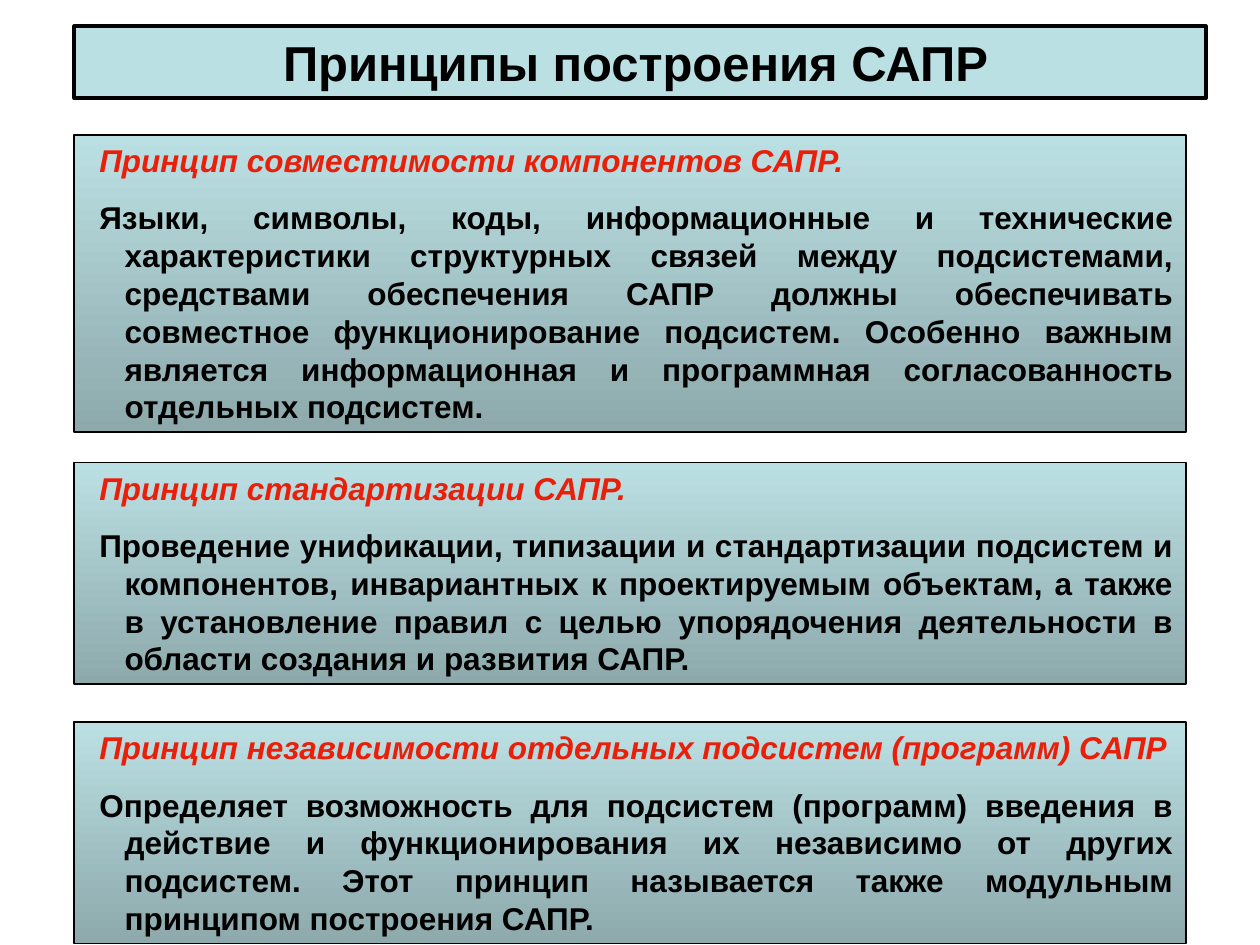
from dataclasses import dataclass

from pptx import Presentation
from pptx.dml.color import RGBColor
from pptx.enum.shapes import MSO_SHAPE
from pptx.enum.text import MSO_ANCHOR, PP_ALIGN
from pptx.shapes.autoshape import Shape
from pptx.slide import Slide
from pptx.text.text import _Paragraph
from pptx.util import Inches, Pt


@dataclass(frozen=True)
class Theme:
    font: str = "Arial"
    pale: RGBColor = RGBColor(0xBB, 0xE0, 0xE3)
    deep: RGBColor = RGBColor(0x8D, 0xA9, 0xAC)
    ink: RGBColor = RGBColor(0, 0, 0)
    accent: RGBColor = RGBColor(0xEA, 0x1F, 0x0A)
    title_size: float = 28
    body_size: float = 18


@dataclass(frozen=True)
class Principle:
    top: float
    height: float
    heading: str
    text: str


THEME = Theme()
SLIDE_WIDTH, SLIDE_HEIGHT = 10, 7.5
LEFT = 0.59
PANEL_WIDTH = SLIDE_WIDTH - 2 * LEFT
TITLE_WIDTH = 8.98

PRINCIPLES = (
    Principle(
        1.07, 2.36,
        "Принцип совместимости компонентов САПР.",
        "Языки, символы, коды, информационные и технические характеристики "
        "структурных связей между подсистемами, средствами обеспечения САПР "
        "должны обеспечивать совместное функционирование подсистем. Особенно "
        "важным является информационная и программная согласованность "
        "отдельных подсистем.",
    ),
    Principle(
        3.67, 1.76,
        "Принцип стандартизации САПР.",
        "Проведение унификации, типизации и стандартизации подсистем и "
        "компонентов, инвариантных к проектируемым объектам, а также в "
        "установление правил с целью упорядочения деятельности в области "
        "создания и развития САПР.",
    ),
    Principle(
        5.73, 1.76,
        "Принцип независимости отдельных подсистем (программ) САПР",
        "Определяет возможность для подсистем (программ) введения в действие "
        "и функционирования их независимо от других подсистем. Этот принцип "
        "называется также модульным принципом построения САПР.",
    ),
)


def add_box(slide: Slide, top: float, width: float, height: float, border: float) -> Shape:
    box = slide.shapes.add_shape(
        MSO_SHAPE.RECTANGLE, Inches(LEFT), Inches(top), Inches(width), Inches(height)
    )
    box.shadow.inherit = False
    box.line.color.rgb = THEME.ink
    box.line.width = Pt(border)
    box.text_frame.word_wrap = True
    box.text_frame.vertical_anchor = MSO_ANCHOR.TOP
    return box


def write(para: _Paragraph, text: str, size: float, color: RGBColor,
          align: PP_ALIGN, italic: bool = False) -> None:
    para.text = text
    para.alignment = align
    para.font.name = THEME.font
    para.font.size = Pt(size)
    para.font.bold = True
    para.font.italic = italic
    para.font.color.rgb = color


def hang(para: _Paragraph) -> None:
    """Give the paragraph a hanging indent."""
    properties = para._p.get_or_add_pPr()
    properties.set("marL", str(Inches(0.3)))
    properties.set("indent", str(Inches(-0.2)))


def add_title(slide: Slide, text: str) -> None:
    box = add_box(slide, 0.21, TITLE_WIDTH, 0.57, 2.25)
    box.fill.solid()
    box.fill.fore_color.rgb = THEME.pale
    box.text_frame.margin_right = Inches(0.17)
    write(box.text_frame.paragraphs[0], text, THEME.title_size, THEME.ink, PP_ALIGN.CENTER)


def add_principle(slide: Slide, principle: Principle) -> None:
    box = add_box(slide, principle.top, PANEL_WIDTH, principle.height, 1)
    box.fill.gradient()
    box.fill.gradient_angle = 270
    for stop, color, position in zip(box.fill.gradient_stops, (THEME.pale, THEME.deep), (0, 1)):
        stop.color.rgb = color
        stop.position = position

    heading = box.text_frame.paragraphs[0]
    hang(heading)
    write(heading, principle.heading, THEME.body_size, THEME.accent, PP_ALIGN.LEFT, italic=True)
    body = box.text_frame.add_paragraph()
    hang(body)
    body.space_before = Pt(11.2)
    write(body, principle.text, THEME.body_size, THEME.ink, PP_ALIGN.JUSTIFY)


def main() -> None:
    deck = Presentation()
    deck.slide_width, deck.slide_height = Inches(SLIDE_WIDTH), Inches(SLIDE_HEIGHT)
    slide = deck.slides.add_slide(deck.slide_layouts[6])
    add_title(slide, "Принципы построения САПР")
    for principle in PRINCIPLES:
        add_principle(slide, principle)
    deck.save("out.pptx")


if __name__ == "__main__":
    main()
